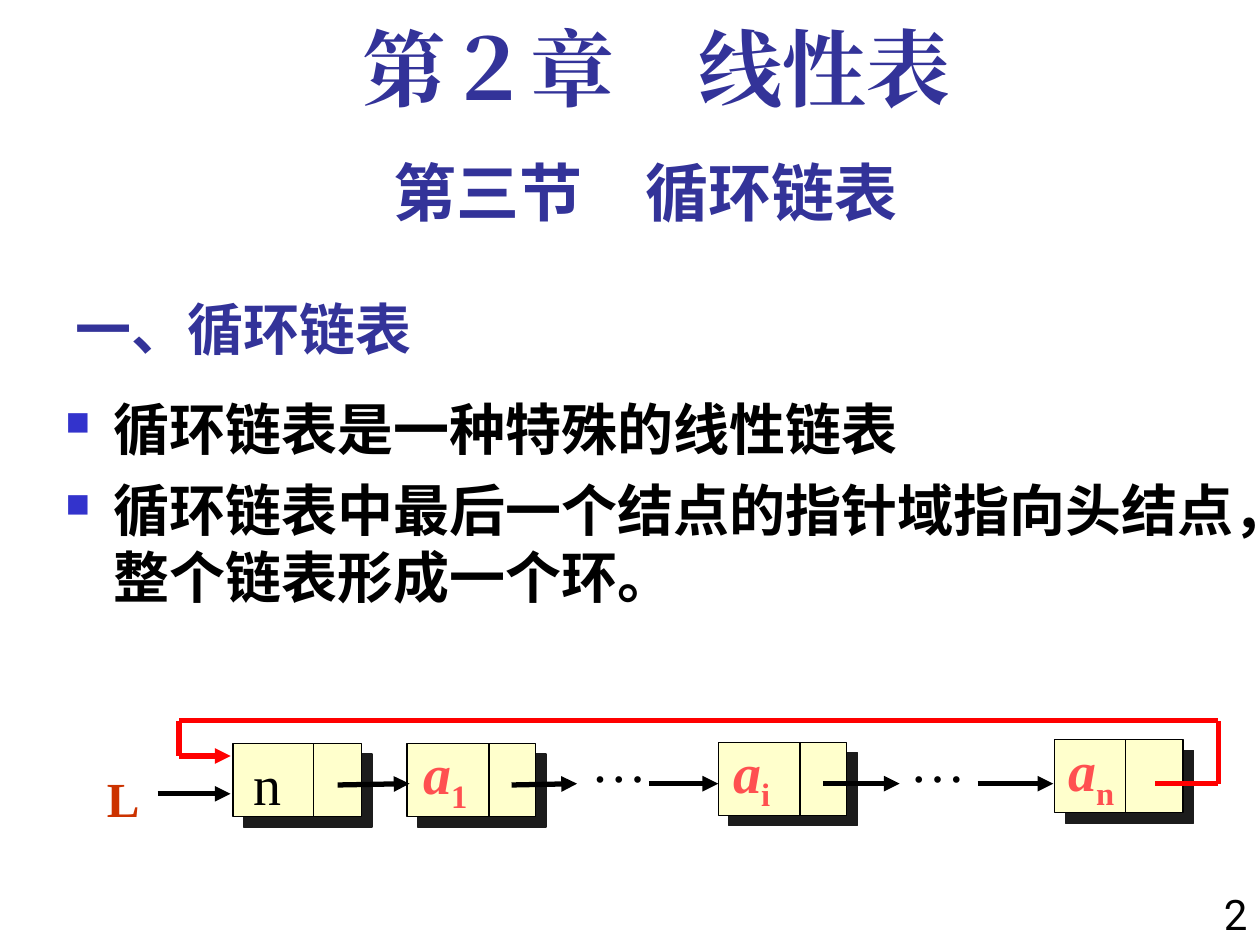
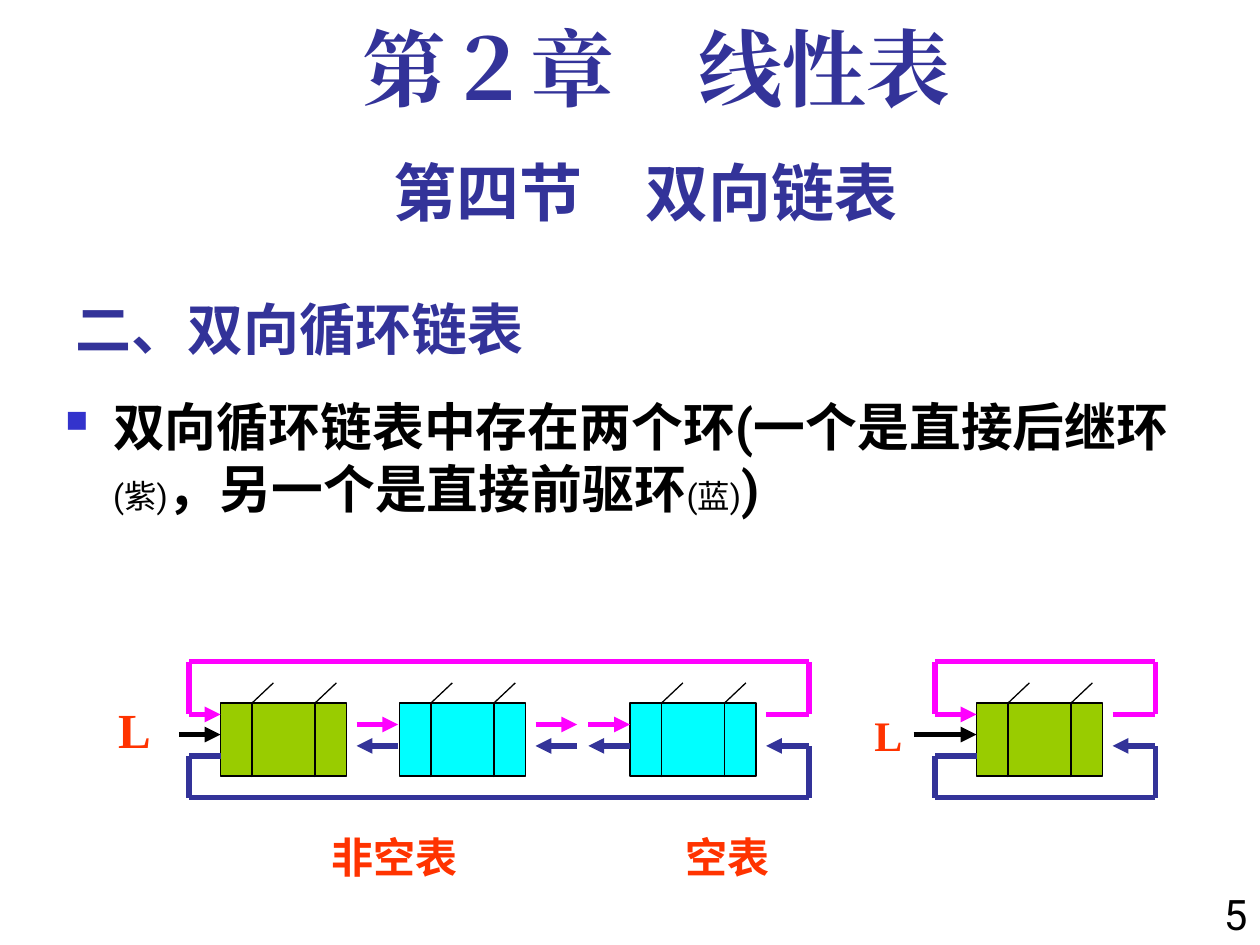
"""Build two slides on circular and doubly linked lists."""
from itertools import pairwise

from lxml import etree
from pptx import Presentation
from pptx.dml.color import RGBColor
from pptx.enum import shapes, text
from pptx.oxml import ns
from pptx.util import Inches, Pt

COLOURS = {
    "indigo": "333399", "bullet": "3333CC", "black": "000000", "cream": "FFFFCC",
    "coral": "FF5050", "rust": "CC3300", "red": "FF0000", "orange": "FF3300",
    "green": "99CC00", "cyan": "00FFFF", "magenta": "FF00FF", "shadow": "1C1C1C",
}
COLOUR = {name: RGBColor.from_string(value) for name, value in COLOURS.items()}
SERIF, SANS, CJK = "Times New Roman", "Roboto", "Noto Sans CJK SC"
LEFT, CENTER, RIGHT = text.PP_ALIGN.LEFT, text.PP_ALIGN.CENTER, text.PP_ALIGN.RIGHT


def write(box, place, paragraphs, colour, align=LEFT, wrap=True, **style):
    """Place a box and fill it with paragraphs of (words, format) runs."""
    box.left, box.top, box.width, box.height = map(Inches, place)
    frame = box.text_frame
    frame.word_wrap = wrap
    frame.auto_size = text.MSO_AUTO_SIZE.NONE
    for index, spans in enumerate(paragraphs):
        para = frame.add_paragraph() if index else frame.paragraphs[0]
        para.alignment = align
        for words, changes in spans:
            span = para.add_run()
            span.text = words
            values = {"bold": True, **style, **changes}
            baseline = values.pop("baseline", None)
            values["size"] = Pt(values["size"])
            for key, value in values.items():
                setattr(span.font, key, value)
            span.font.color.rgb = COLOUR[colour]
            props = span.font._element
            etree.SubElement(props, ns.qn("a:ea"), typeface=values["name"])
            if baseline:
                props.set("baseline", baseline)
    return frame


def draw(page, points, colour="black", weight=3, arrow=True):
    """Draw straight lines through the points, with an arrowhead at the last."""
    for start, end in pairwise(points):
        line = page.shapes.add_connector(
            shapes.MSO_CONNECTOR.STRAIGHT, *map(Inches, (*start, *end)))
        line.line.color.rgb = COLOUR[colour]
        line.line.width = Pt(weight)
        if arrow and end == points[-1]:
            etree.SubElement(line.line._get_or_add_ln(), ns.qn("a:tailEnd"), type="triangle")
        etree.SubElement(line._element.spPr, ns.qn("a:effectLst"))


deck = Presentation()
deck.slide_width, deck.slide_height = Inches(10), Inches(7.5)

small = {"size": 18.5, "bold": False}
contents = [
    ("2", "第三节　循环链表", "一、循环链表", 32, 4.25, [
        [("循环链表是一种特殊的线性链表", {})],
        [("循环链表中最后一个结点的指针域指向头结点，整个链表形成一个环。", {})],
    ]),
    ("5", "第四节　双向链表", "二、双向循环链表", 29.6, 1.17, [
        [("双向循环链表中存在两个环(一个是直接后继环", {}), ("(紫)", small),
         ("，另一个是直接前驱环", {}), ("(蓝)", small), (")", {})],
    ]),
]
pages = []
for number, section, heading, size, height, points in contents:
    page = deck.slides.add_slide(deck.slide_layouts[5])
    pages.append(page)
    frame = write(page.shapes.title, (0.5, 2.17, 6.25, 0.75), [[(heading, {})]],
                  "indigo", name=CJK, size=32)
    frame.vertical_anchor = text.MSO_ANCHOR.BOTTOM

    labels = [
        ((9.33, 7, 0.67, 0.59), number, "black", RIGHT,
         {"name": SANS, "size": 24, "bold": False}),
        ((0.5, 1.17, 9.25, 0.7), section, "indigo", CENTER, {"name": SANS, "size": 36}),
        ((0.67, 0.17, 9.08, 0.83), "第２章　线性表", "indigo", CENTER,
         {"name": SERIF, "size": 48}),
    ]
    for place, words, colour, align, style in labels:
        frame = write(page.shapes.add_textbox(0, 0, 0, 0), place, [[(words, {})]],
                      colour, align, **style)
    frame.paragraphs[0].line_spacing = 0.9

    body = write(page.shapes.add_textbox(0, 0, 0, 0), (0.42, 3.08, 9.58, height),
                 points, "black", name=SANS, size=size)
    for para in body.paragraphs:
        para.space_before = Pt(8)
        props = para._p.get_or_add_pPr()
        props.set("marL", str(Inches(0.38)))
        props.set("indent", str(Inches(-0.38)))
        tint = etree.SubElement(props, ns.qn("a:buClr"))
        etree.SubElement(tint, ns.qn("a:srgbClr"), val=COLOURS["bullet"])
        etree.SubElement(props, ns.qn("a:buSzPct"), val="60000")
        etree.SubElement(props, ns.qn("a:buChar"), char="■")

circular, double = pages

for left, top, divider in [(1.85, 5.9, 0.64), (3.23, 5.9, 0.65),
                           (5.7, 5.89, 0.65), (8.37, 5.87, 0.56)]:
    node = circular.shapes.add_shape(
        shapes.MSO_SHAPE.RECTANGLE, *map(Inches, (left, top, 1.02, 0.58)))
    node.fill.solid()
    node.fill.fore_color.rgb = COLOUR["cream"]
    node.line.color.rgb = COLOUR["black"]
    node.line.width = Pt(0.75)
    node.shadow.inherit = False
    effects = node._element.spPr.find(ns.qn("a:effectLst"))
    shadow = etree.SubElement(effects, ns.qn("a:outerShdw"), dist=str(Pt(8.5)),
                              dir="2700000", algn="ctr", rotWithShape="0")
    etree.SubElement(shadow, ns.qn("a:srgbClr"), val=COLOURS["shadow"])
    draw(circular, [(left + divider, top), (left + divider, top + 0.58)],
         weight=0.75, arrow=False)

for start, end in [((1.25, 6.3), (1.83, 6.3)), ((2.68, 6.23), (3.25, 6.22)),
                   ((4.06, 6.23), (4.58, 6.22)), ((5.15, 6.22), (5.7, 6.22)),
                   ((6.53, 6.22), (7.14, 6.22)), ((7.76, 6.22), (8.36, 6.22))]:
    draw(circular, [start, end])
draw(circular, [(9.17, 6.22), (9.67, 6.22), (9.67, 5.72), (1.42, 5.72),
                (1.42, 6), (1.83, 6)], "red")

for left, top, width, subscript in [(3.26, 5.81, 0.55, "1"), (5.72, 5.8, 0.49, "i"),
                                    (8.38, 5.79, 0.56, "n")]:
    spans = [("a", {"italic": True}), (subscript, {"baseline": "-25000"})]
    write(circular.shapes.add_textbox(0, 0, 0, 0), (left, top, width, 0.71), [spans],
          "coral", wrap=False, name=SERIF, size=32)
for place, words, align in [((1.85, 5.9, 0.48, 0.64), "n", RIGHT),
                            ((4.59, 5.72, 0.55, 0.64), "…", LEFT),
                            ((7.12, 5.72, 0.55, 0.64), "…", LEFT)]:
    write(circular.shapes.add_textbox(0, 0, 0, 0), place, [[(words, {})]], "black",
          align, name=SERIF, size=32, bold=False)

for left, colour in [(1.75, "green"), (3.17, "cyan"), (5, "cyan"), (7.75, "green")]:
    node = double.shapes.add_shape(
        shapes.MSO_SHAPE.RECTANGLE, *map(Inches, (left, 5.58, 1, 0.58)))
    node.fill.solid()
    node.fill.fore_color.rgb = COLOUR[colour]
    node.line.color.rgb = COLOUR["black"]
    node.line.width = Pt(0.75)
    node.shadow.inherit = False
    for divider in (left + 0.25, left + 0.75):
        draw(double, [(divider, 6.17), (divider, 5.58), (divider + 0.17, 5.42)],
             weight=0.75, arrow=False)

for start, end in [(1.42, 1.75), (7.25, 7.75)]:
    draw(double, [(start, 5.83), (end, 5.83)])
for start in (2.83, 4.25, 4.67):
    draw(double, [(start + 0.33, 5.92), (start, 5.92)], "indigo")
    draw(double, [(start, 5.75), (start + 0.33, 5.75)], "magenta")
for left, right, head in [(1.5, 6.42, 1.75), (7.42, 9.17, 7.75)]:
    last = right - 0.34
    draw(double, [(head, 6), (left, 6), (left, 6.33), (right, 6.33),
                  (right, 5.92), (last, 5.92)], "indigo")
    draw(double, [(last, 5.67), (right, 5.67), (right, 5.25), (left, 5.25),
                  (left, 5.67), (head, 5.67)], "magenta")

for page, place, words, colour, font, size in [
    (circular, (0.75, 6.05, 0.46, 0.57), "L", "rust", SERIF, 28),
    (double, (0.84, 5.5, 0.46, 0.57), "L", "orange", SERIF, 28),
    (double, (6.84, 5.58, 0.42, 0.5), "L", "orange", SERIF, 24),
    (double, (2.53, 6.55, 1.3, 0.52), "非空表", "orange", CJK, 24),
    (double, (5.34, 6.55, 0.95, 0.52), "空表", "orange", CJK, 24),
]:
    write(page.shapes.add_textbox(0, 0, 0, 0), place, [[(words, {})]], colour,
          wrap=False, name=font, size=size)

deck.save("out.pptx")
